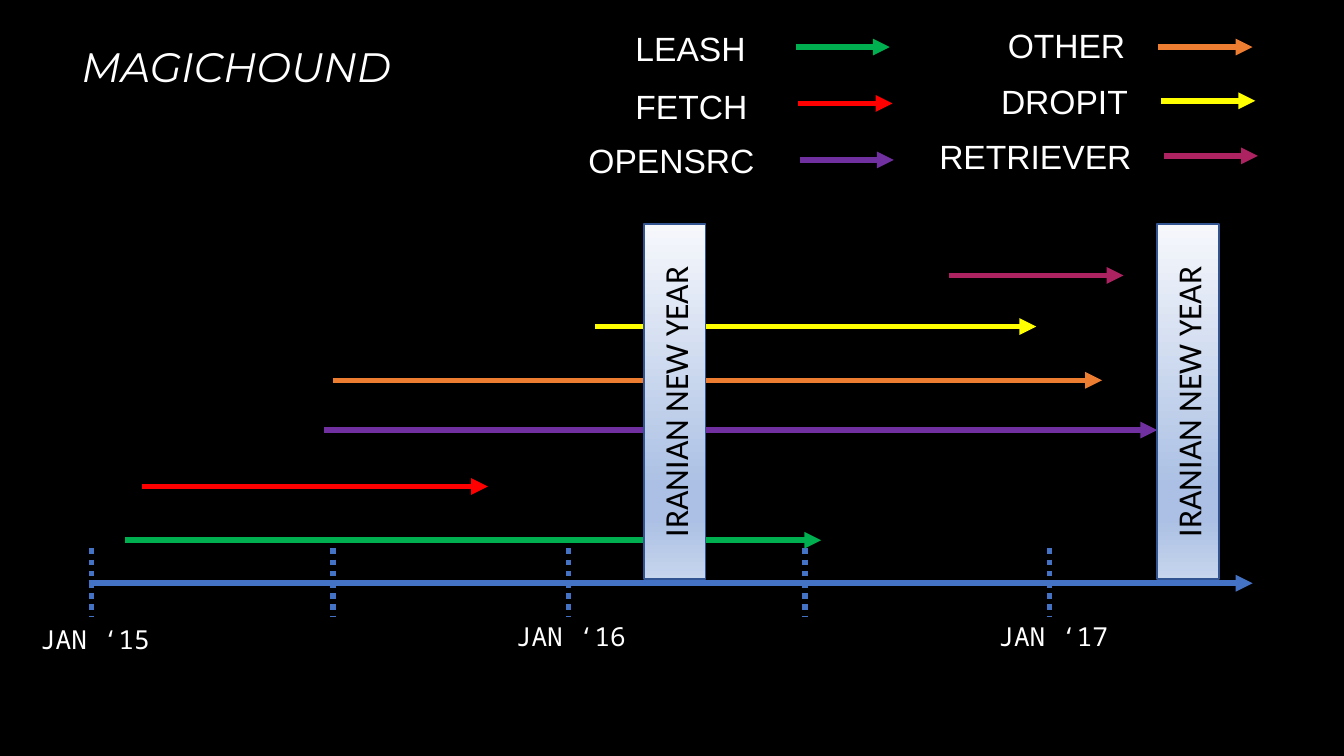
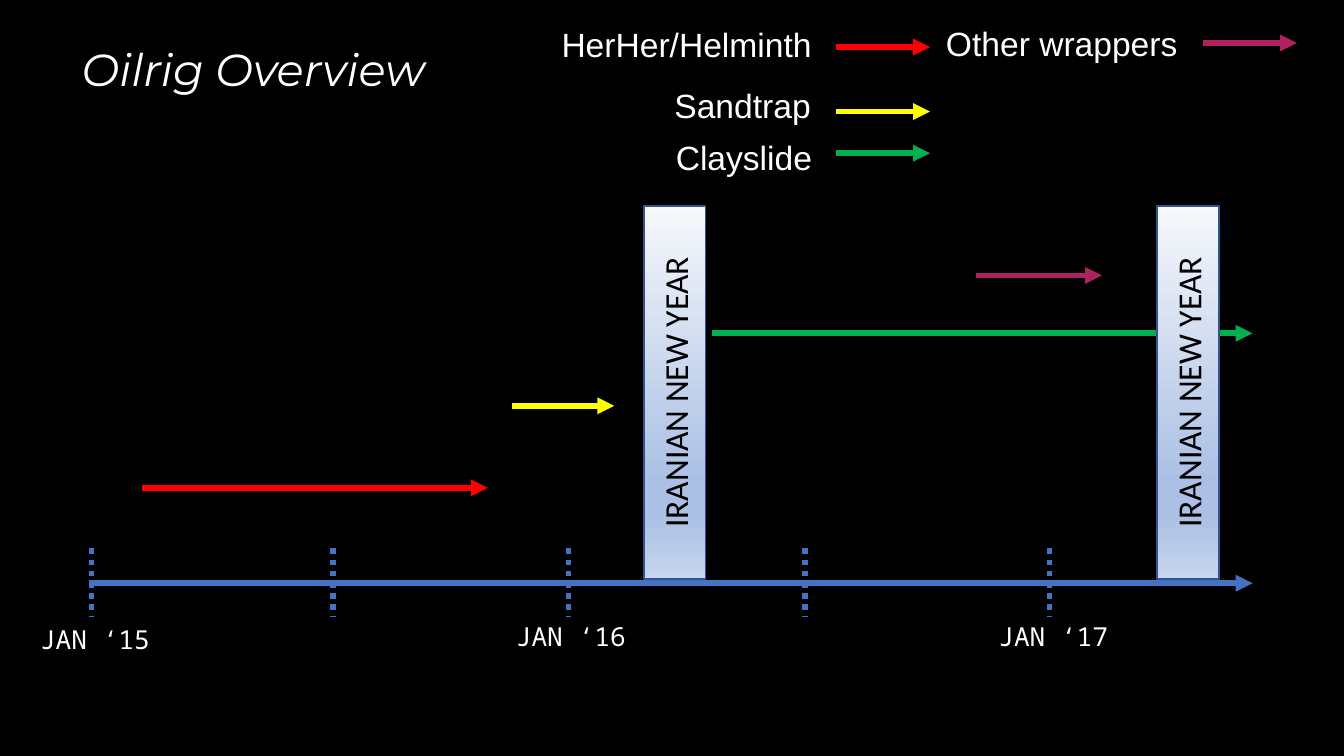
from pptx import Presentation
from pptx.dml.color import RGBColor
from pptx.enum.dml import MSO_LINE
from pptx.enum.shapes import MSO_CONNECTOR, MSO_SHAPE
from pptx.enum.text import MSO_ANCHOR, MSO_AUTO_SIZE, PP_ALIGN
from pptx.oxml.ns import qn
from pptx.util import Inches, Pt
from lxml import etree

STRAIGHT = MSO_CONNECTOR.STRAIGHT
RECTANGLE = MSO_SHAPE.RECTANGLE
DOTTED = MSO_LINE.ROUND_DOT
MIDDLE = MSO_ANCHOR.MIDDLE
CENTER, LEFT = PP_ALIGN.CENTER, PP_ALIGN.LEFT
GROW, FIXED = MSO_AUTO_SIZE.SHAPE_TO_FIT_TEXT, MSO_AUTO_SIZE.NONE


class Theme:
    background, text, band_text = "000000", "FFFFFF", "000000"
    axis, band_line = "4472C4", "325491"
    green, red, purple = "00B050", "FF0000", "7030A0"
    orange, yellow, plum = "ED7D31", "FFFF00", "AD2361"
    band_stops = [(0, "F6F8FC"), (74, "ABC0E4"), (83, "ABC0E4"), (100, "C7D5ED")]
    title_font, label_font = "Montserrat", "Arial"
    date_font, band_font = "Noto Sans Mono", "Calibri"
    label_size, date_size, band_size = 18, 14, 18
    line_width, band_line_width = 3, 1


def write(s, text, *, font, size, color=Theme.text, italic=False,
          align=LEFT, spacing=None, fit=GROW):
    tf = s.text_frame
    tf.word_wrap = True
    tf.auto_size = fit
    p = tf.paragraphs[0]
    p.alignment = align
    p.line_spacing = spacing
    r = p.add_run()
    r.text = text
    r.font.name = font
    r.font.size = Pt(size)
    r.font.italic = italic
    r.font.color.rgb = RGBColor.from_string(color)


def add_line(slide, x1, y1, x2, y2, color, dotted=False):
    """Draw a dotted tick, or else a line with an arrowhead at its end."""
    c = slide.shapes.add_connector(STRAIGHT, Inches(x1), Inches(y1), Inches(x2), Inches(y2))
    c.line.color.rgb = RGBColor.from_string(color)
    c.line.width = Pt(Theme.line_width)
    spPr = c.element.spPr
    if dotted:
        c.line.dash_style = DOTTED
    else:
        etree.SubElement(spPr.find(qn("a:ln")), qn("a:tailEnd"), type="triangle")
    etree.SubElement(spPr, qn("a:effectLst"))


AXIS_LEFT, AXIS_RIGHT, AXIS_Y = 0.66, 9.32, 4.34
TICKS = [0.68, 2.48, 4.23, 5.99, 7.81]
TICK_TOP, TICK_BOTTOM = 4.08, 4.59
DATES = [("JAN ‘15", 0.2, 4.59), ("JAN ‘16", 3.74, 4.57), ("JAN ‘17", 7.33, 4.57)]
BANDS = [4.79, 8.61]
BAND_WIDTH, BAND_BOTTOM = 0.46, 4.31
KEY_LENGTH = 0.7

# legend: label, its left, top and width, then the key arrow's left and y, colour
# spans: start, end, y, colour
TIMELINES = [
    dict(
        title="MAGICHOUND", title_top=0.3, title_size=22, band_top=1.67,
        legend=[
            ("LEASH", 4.63, 0.16, 1.31, 5.92, 0.35, Theme.green),
            ("FETCH", 4.63, 0.59, 3.63, 5.94, 0.77, Theme.red),
            ("OPENSRC", 4.28, 0.99, 2.11, 5.95, 1.19, Theme.purple),
            ("OTHER", 7.4, 0.14, 2.11, 8.62, 0.35, Theme.orange),
            ("DROPIT", 7.35, 0.55, 3.63, 8.64, 0.75, Theme.yellow),
            ("RETRIEVER", 6.89, 0.96, 2.11, 8.66, 1.16, Theme.plum),
        ],
        spans=[
            (0.93, 6.11, 4.02, Theme.green),
            (1.06, 3.63, 3.62, Theme.red),
            (2.41, 8.61, 3.2, Theme.purple),
            (2.48, 8.2, 2.83, Theme.orange),
            (4.43, 7.71, 2.43, Theme.yellow),
            (7.06, 8.36, 2.05, Theme.plum),
        ],
    ),
    dict(
        title="Oilrig Overview", title_top=0.31, title_size=24, band_top=1.53,
        legend=[
            ("HerHer/Helminth", 4.08, 0.13, 3.63, 6.22, 0.35, Theme.red),
            ("Sandtrap", 4.92, 0.58, 3.63, 6.22, 0.83, Theme.yellow),
            ("Clayslide", 4.93, 0.97, 1.31, 6.22, 1.14, Theme.green),
            ("Other wrappers", 6.94, 0.12, 2.11, 8.95, 0.32, Theme.plum),
        ],
        spans=[
            (1.06, 3.63, 3.63, Theme.red),
            (3.81, 4.57, 3.02, Theme.yellow),
            (5.3, 9.32, 2.48, Theme.green),
            (7.26, 8.2, 2.05, Theme.plum),
        ],
    ),
]

prs = Presentation()
prs.slide_width = Inches(10)
prs.slide_height = prs.slide_width * 9 // 16

for timeline in TIMELINES:
    slide = prs.slides.add_slide(prs.slide_layouts[6])
    slide.background.fill.solid()
    slide.background.fill.fore_color.rgb = RGBColor.from_string(Theme.background)

    s = slide.shapes.add_textbox(Inches(0.51), Inches(timeline["title_top"]),
                                 Inches(9.26), Inches(0.36))
    write(s, timeline["title"], font=Theme.title_font, size=timeline["title_size"],
          italic=True, spacing=0.9, fit=FIXED)

    add_line(slide, AXIS_LEFT, AXIS_Y, AXIS_RIGHT, AXIS_Y, Theme.axis)
    for x in TICKS:
        add_line(slide, x, TICK_TOP, x, TICK_BOTTOM, Theme.axis, dotted=True)
    for date, x, y in DATES:
        s = slide.shapes.add_textbox(Inches(x), Inches(y), Inches(1.16), Inches(0.34))
        write(s, date, font=Theme.date_font, size=Theme.date_size)

    for label, x, y, width, key_x, key_y, color in timeline["legend"]:
        s = slide.shapes.add_textbox(Inches(x), Inches(y), Inches(width), Inches(0.4))
        write(s, label, font=Theme.label_font, size=Theme.label_size)
        add_line(slide, key_x, key_y, key_x + KEY_LENGTH, key_y, color)

    for start, end, y, color in timeline["spans"]:
        add_line(slide, start, y, end, y, color)

    top = timeline["band_top"]
    for x in BANDS:
        s = slide.shapes.add_shape(RECTANGLE, Inches(x), Inches(top),
                                   Inches(BAND_WIDTH), Inches(BAND_BOTTOM - top))
        s.shadow.inherit = False
        s.line.color.rgb = RGBColor.from_string(Theme.band_line)
        s.line.width = Pt(Theme.band_line_width)
        s.fill.gradient()
        s.fill.gradient_angle = 270
        stops = s.element.spPr.find(qn("a:gradFill")).find(qn("a:gsLst"))
        stops.clear()
        for percent, color in Theme.band_stops:
            gs = etree.SubElement(stops, qn("a:gs"), pos=str(percent * 1000))
            etree.SubElement(gs, qn("a:srgbClr"), val=color)
        write(s, "IRANIAN NEW YEAR", font=Theme.band_font, size=Theme.band_size,
              color=Theme.band_text, align=CENTER, fit=FIXED)
        s.text_frame.vertical_anchor = MIDDLE
        s.element.txBody.find(qn("a:bodyPr")).set("vert", "vert270")

prs.save("out.pptx")
